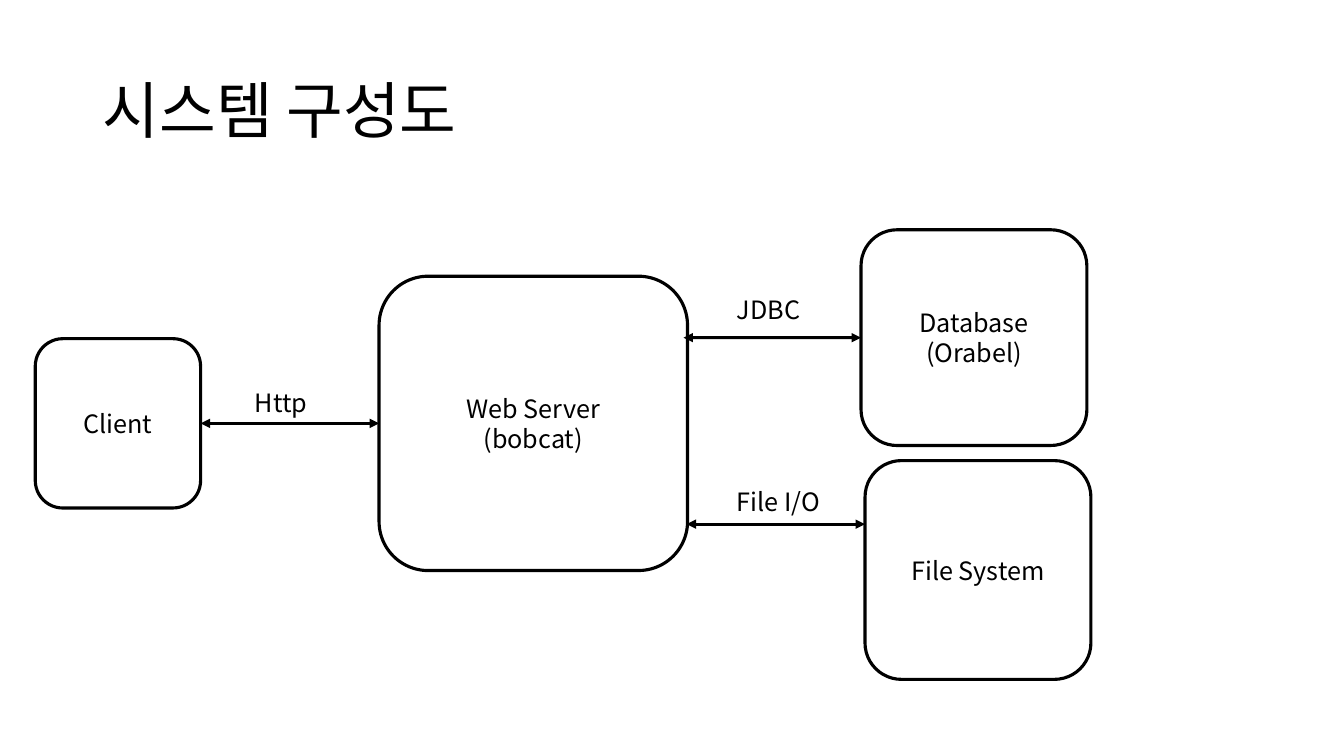
from dataclasses import dataclass

from lxml import etree
from pptx import Presentation
from pptx.dml.color import RGBColor
from pptx.enum.shapes import MSO_CONNECTOR, MSO_SHAPE
from pptx.enum.text import MSO_ANCHOR, MSO_AUTO_SIZE, PP_ALIGN
from pptx.oxml.ns import qn
from pptx.util import Inches, Pt

ROUNDED = MSO_SHAPE.ROUNDED_RECTANGLE
STRAIGHT = MSO_CONNECTOR.STRAIGHT
MIDDLE = MSO_ANCHOR.MIDDLE
TOP = MSO_ANCHOR.TOP
GROW = MSO_AUTO_SIZE.SHAPE_TO_FIT_TEXT
FIXED = MSO_AUTO_SIZE.NONE
LEFT, CENTER = PP_ALIGN.LEFT, PP_ALIGN.CENTER
LEFT_SIDE, RIGHT_SIDE = 1, 3


@dataclass(frozen=True)
class Theme:
    """Colours, font and sizes of the slide."""
    ink: RGBColor = RGBColor(0, 0, 0)
    font: str = "Noto Sans CJK KR"
    title: Pt = Pt(44)
    body: Pt = Pt(18)
    stroke: Pt = Pt(2.25)


THEME = Theme()

NODES = {
    "client": ((0.35, 3.36, 1.64, 1.68), ["Client"]),
    "server": ((3.76, 2.74, 3.06, 2.92), ["Web Server", "(bobcat)"]),
    "database": ((8.54, 2.28, 2.24, 2.14), ["Database", "(Orabel)"]),
    "files": ((8.58, 4.57, 2.24, 2.17), ["File System"]),
}
LINKS = [
    ((1.99, 4.2), (3.76, 4.2), "client", "server"),
    ((6.78, 3.35), (8.54, 3.35), None, "database"),
    ((6.81, 5.2), (8.58, 5.2), None, None),
]
LABELS = {
    "JDBC": (7.21, 2.87, 1.04, 0.4),
    "File I/O": (7.21, 4.78, 1.31, 0.4),
    "Http": (2.43, 3.79, 1.2, 0.41),
}


def apply_format(target, values):
    """Set each named attribute on the target."""
    for name, value in values.items():
        setattr(target, name, value)


def write_lines(shape, lines, size, align=LEFT, anchor=TOP, spacing=1.0, fit=FIXED):
    """Write one paragraph per line into a shape."""
    frame = shape.text_frame
    apply_format(frame, {"word_wrap": True, "vertical_anchor": anchor, "auto_size": fit})
    for index, line in enumerate(lines):
        para = frame.add_paragraph() if index else frame.paragraphs[0]
        apply_format(para, {"alignment": align, "line_spacing": spacing})
        span = para.add_run()
        span.text = line
        apply_format(span.font, {"size": size, "name": THEME.font})
        span.font.color.rgb = THEME.ink
        east_asian = etree.SubElement(span.font._element, qn("a:ea"))
        east_asian.set("typeface", THEME.font)


def draw_text(page, box, text, size, **layout):
    """Place a line of text in its box."""
    shape = page.shapes.add_textbox(*map(Inches, box))
    write_lines(shape, [text], size, **layout)


def draw_node(page, box, lines):
    """Place an outlined system component and return it."""
    node = page.shapes.add_shape(ROUNDED, *map(Inches, box))
    node.shadow.inherit = False
    node.fill.background()
    node.line.color.rgb = THEME.ink
    node.line.width = THEME.stroke
    write_lines(node, lines, THEME.body, align=CENTER, anchor=MIDDLE)
    return node


def draw_link(page, start, end, source, target):
    """Draw a two-way arrow, joined to the given components."""
    link = page.shapes.add_connector(STRAIGHT, *map(Inches, start + end))
    if source:
        link.begin_connect(source, RIGHT_SIDE)
    if target:
        link.end_connect(target, LEFT_SIDE)
    link.line.color.rgb = THEME.ink
    link.line.width = THEME.stroke
    outline = link.line._get_or_add_ln()
    for tag in ("a:headEnd", "a:tailEnd"):
        etree.SubElement(outline, qn(tag)).set("type", "triangle")
    etree.SubElement(link._element.spPr, qn("a:effectLst"))


def draw_diagram(page):
    """Draw the components, their links and the link labels."""
    nodes = {name: draw_node(page, *node) for name, node in NODES.items()}
    for start, end, source, target in LINKS:
        draw_link(page, start, end, nodes.get(source), nodes.get(target))
    for text, box in LABELS.items():
        draw_text(page, box, text, THEME.body, fit=GROW)


def main():
    """Build the system diagram slide."""
    deck = Presentation()
    apply_format(deck, {"slide_width": Inches(13.33), "slide_height": Inches(7.5)})
    page = deck.slides.add_slide(deck.slide_layouts[6])
    draw_text(page, (0.92, 0.4, 11.5, 1.45), "시스템 구성도", THEME.title,
              anchor=MIDDLE, spacing=0.9)
    draw_diagram(page)
    deck.save("out.pptx")


if __name__ == "__main__":
    main()
